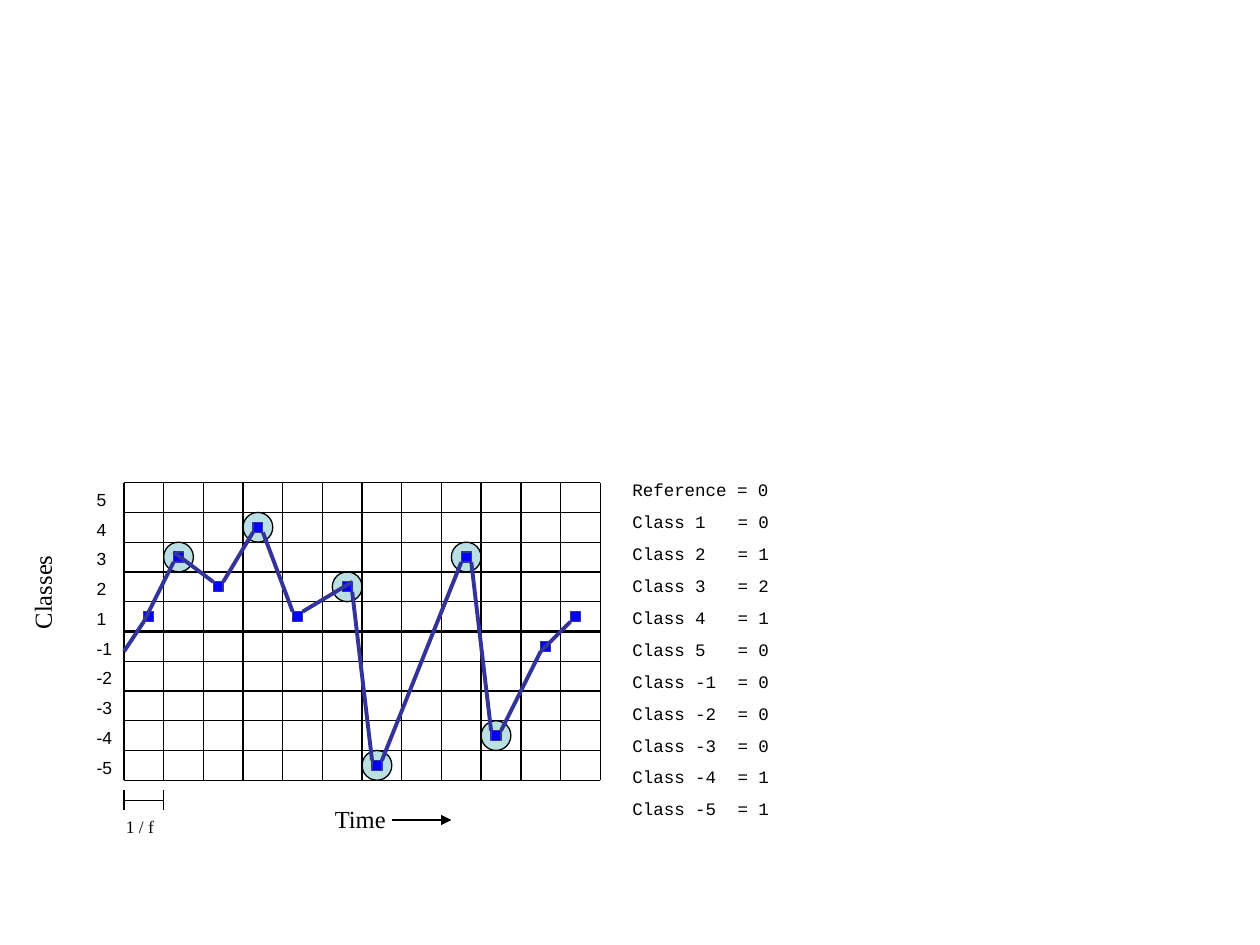
from itertools import pairwise
from lxml.etree import SubElement as Sub
from pptx import Presentation
from pptx.dml.color import RGBColor as Rgb
from pptx.enum.shapes import MSO_CONNECTOR as Link, MSO_SHAPE as Kind
from pptx.enum.text import MSO_AUTO_SIZE as Fit, PP_ALIGN as Align
from pptx.oxml.ns import qn
from pptx.util import Cm, Pt

HUES = {"ink": "000000", "ring": "BBE0E3", "mark": "0000FF", "curve": "333399"}
LEFT, TOP, STEP, ROW = 2.5, 9.73, 0.8, 0.6
COLS, ROWS = 12, 10
RIGHT, BASE = LEFT + COLS * STEP, TOP + ROWS * ROW
RING, MARK = 0.6, 0.2

CLASSES = [5, 4, 3, 2, 1, -1, -2, -3, -4, -5]
COUNTS = {1: 0, 2: 1, 3: 2, 4: 1, 5: 0, -1: 0, -2: 0, -3: 0, -4: 1, -5: 1}
POINTS = [(3, 1), (3.6, 3), (4.4, 2), (5.2, 4), (6, 1), (7, 2),
          (7.6, -5), (9.4, 3), (10, -4), (11, -1), (11.6, 1)]
PEAKS = [1, 3, 5, 6, 7, 8]
SIDES = [((-1, 1), (-1, 1)), ((-1, -1), (-1, -1)), ((1, -1), (-1, 1)),
         ((1, 1), (-1, -1)), ((1, -1), (1, -1)), ((1, 1), (-1, -1)),
         ((1, -1), (-1, 1)), ((1, 1), (-1, -1)), ((1, -1), (-1, 1)),
         ((-1, 1), (-1, 1))]


def hue(name):
    return Rgb.from_string(HUES[name])


def put(thing, values):
    for key, value in values.items():
        setattr(thing, key, value)


class Board:
    thin, bold = 0.75, 2.25

    def __init__(self, slide):
        self.shapes = slide.shapes

    def line(self, start, end, width=thin, color="ink", arrow=False):
        ends = [Cm(v) for v in (*start, *end)]
        link = self.shapes.add_connector(Link.STRAIGHT, *ends)
        link.line.width = Pt(width)
        link.line.color.rgb = hue(color)
        if arrow:
            Sub(link.line._get_or_add_ln(), qn("a:tailEnd"), type="triangle")
        Sub(link._element.spPr, qn("a:effectLst"))

    def dot(self, kind, mid, size, fill, edge):
        x, y = (Cm(v - size / 2) for v in mid)
        dot = self.shapes.add_shape(kind, x, y, Cm(size), Cm(size))
        dot.shadow.inherit = False
        dot.fill.solid()
        dot.fill.fore_color.rgb = hue(fill)
        dot.line.color.rgb = hue(edge)
        dot.line.width = Pt(self.thin)

    def text(self, rows, area, font, size=10, wrap=True, turn=0, gap=0, tab=None):
        box = self.shapes.add_textbox(*(Cm(v) for v in area))
        box.rotation = turn
        frame = box.text_frame
        put(frame, {"word_wrap": wrap, "auto_size": Fit.SHAPE_TO_FIT_TEXT})
        for n, row in enumerate(rows):
            para = frame.add_paragraph() if n else frame.paragraphs[0]
            if tab:
                tabs = Sub(para._p.get_or_add_pPr(), qn("a:tabLst"))
                Sub(tabs, qn("a:tab"), pos=str(Cm(tab)), algn="l")
            if n and gap:
                para.space_before = Pt(gap)
            if turn:
                para.alignment = Align.CENTER
            run = para.add_run()
            run.text = row
            put(run.font, {"name": font, "size": Pt(size)})
            run.font.color.rgb = hue("ink")


def main():
    deck = Presentation()
    put(deck, {"slide_width": Cm(25.4), "slide_height": Cm(19.05)})
    board = Board(deck.slides.add_slide(deck.slide_layouts[6]))

    spots = [(x, TOP + ROW * (CLASSES.index(c) + 0.5)) for x, c in POINTS]
    for n in PEAKS:
        board.dot(Kind.OVAL, spots[n], RING, "ring", "ink")

    for n in range(ROWS + 1):
        y = TOP + n * ROW
        width = board.bold if n == ROWS // 2 else board.thin
        board.line((LEFT, y), (RIGHT, y), width)
    for n in range(COLS + 1):
        x = LEFT + n * STEP
        board.line((x, BASE), (x, TOP))

    for n, c in enumerate(CLASSES):
        board.text([str(c)], (1.7, TOP + n * ROW, 1, 0.68), "Arial")

    serif = "Times New Roman"
    board.text(["Classes"], (-0.39, 11.51, 2.5, 0.86), serif, 14, True, 270)
    board.text(["Time"], (6.5, 16.08, 1.55, 0.86), serif, 14, False)
    board.line((7.9, 16.53), (9.1, 16.53), arrow=True)

    board.line((LEFT, 16.13), (LEFT + STEP, 16.13))
    for x in (LEFT, LEFT + STEP):
        board.line((x, 15.93), (x, 16.33))
    board.text(["1 / f"], (2.29, 16.33, 1.24, 0.68), serif)

    rows = ["Reference = 0"] + [f"Class {c}\t= {n}" for c, n in COUNTS.items()]
    board.text(rows, (12.5, 9.54, 3.61, 7.14), "Courier New", gap=6.2, tab=2.12)

    for spot in spots:
        board.dot(Kind.RECTANGLE, spot, MARK, "mark", "curve")

    def edge(spot, side):
        return [v + s * MARK / 2 for v, s in zip(spot, side)]

    board.line((LEFT, 13.13), edge(spots[0], (-1, 1)), board.bold, "curve")
    for (a, b), (out, into) in zip(pairwise(spots), SIDES):
        board.line(edge(a, out), edge(b, into), board.bold, "curve")

    deck.save("out.pptx")


if __name__ == "__main__":
    main()
